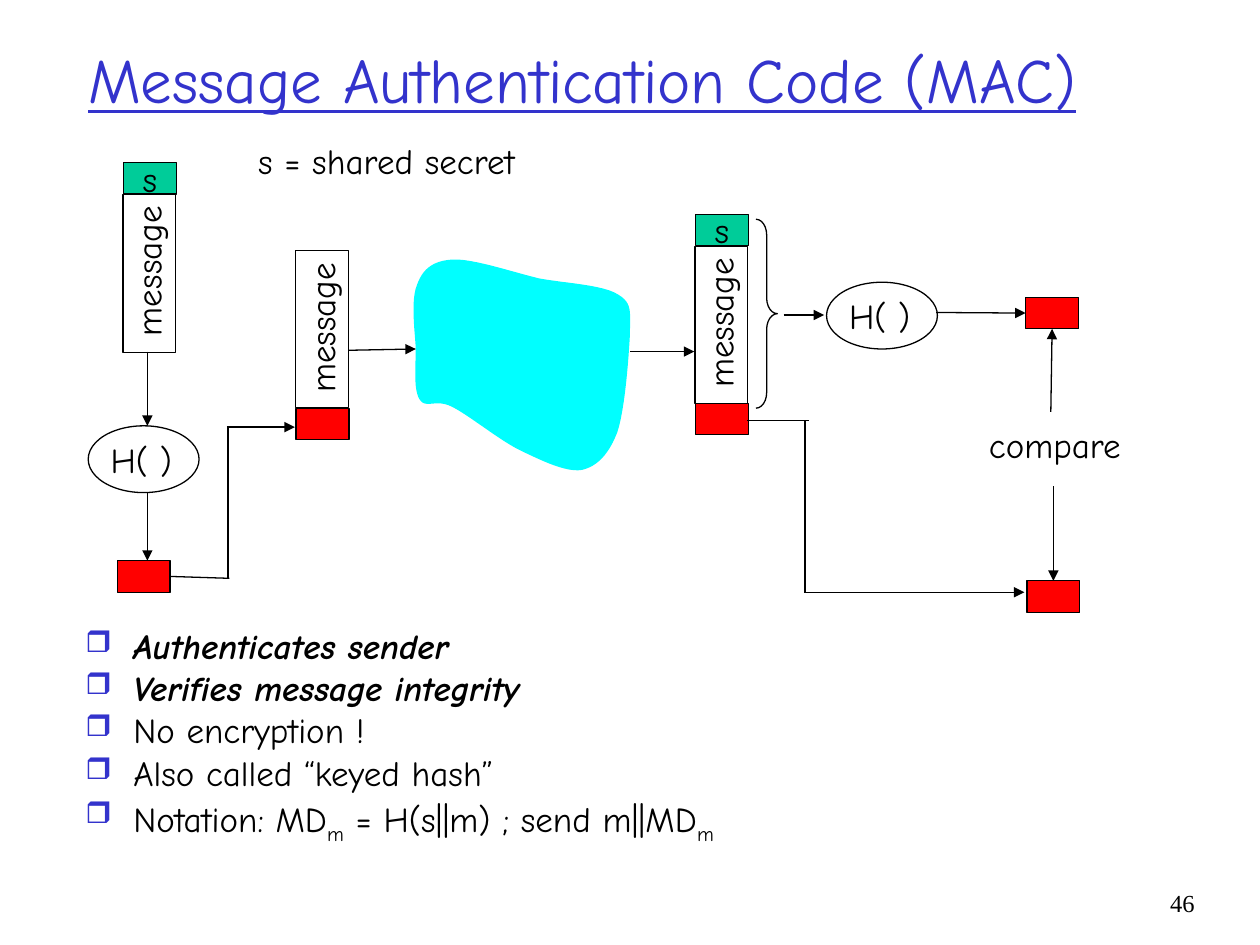
from lxml import etree
from pptx import Presentation
from pptx.dml.color import RGBColor
from pptx.enum.shapes import MSO_CONNECTOR as CONN, MSO_SHAPE as SHAPE
from pptx.enum.text import MSO_ANCHOR as ANCHOR, MSO_AUTO_SIZE as AUTO, PP_ALIGN as ALIGN
from pptx.oxml.ns import qn
from pptx.util import Inches, Pt

BLACK = RGBColor(0x00, 0x00, 0x00)
BLUE = RGBColor(0x33, 0x33, 0xCC)
GREEN = RGBColor(0x00, 0xCC, 0x99)
RED = RGBColor(0xFF, 0x00, 0x00)
CYAN = RGBColor(0x00, 0xFF, 0xFF)
FONT = "Comic Neue"

prs = Presentation()
prs.slide_width, prs.slide_height = Inches(10), Inches(7.5)
s = prs.slides.add_slide(prs.slide_layouts[6])


def add_run(p, text, size=20, color=BLACK, font=FONT):
    r = p.add_run()
    r.text = text
    r.font.size, r.font.name = Pt(size), font
    r.font.color.rgb = color
    return r


def add_box(kind, left, top, width, height, fill=None):
    sp = s.shapes.add_shape(kind, Inches(left), Inches(top), Inches(width), Inches(height))
    sp.shadow.inherit = False
    if fill is None:
        sp.fill.background()
    else:
        sp.fill.solid()
        sp.fill.fore_color.rgb = fill
    sp.line.color.rgb = BLACK
    sp.line.width = Pt(0.75)
    return sp


tb = s.shapes.add_textbox(Inches(0.6), Inches(0), Inches(8.88), Inches(1.25))
tf = tb.text_frame
tf.word_wrap = True
tf.vertical_anchor = ANCHOR.MIDDLE
add_run(tf.paragraphs[0], "Message Authentication Code (MAC)", 36, BLUE).font.underline = True

tb = s.shapes.add_textbox(Inches(9.08), Inches(7), Inches(0.5), Inches(0.5))
tb.text_frame.word_wrap = True
p = tb.text_frame.paragraphs[0]
p.alignment = ALIGN.RIGHT
add_run(p, "46", 14, font="Times New Roman")

curve = [
    (3.59, 2.06),
    (3.42, 2.07), (3.35, 2.15), (3.31, 2.26),
    (3.26, 2.38), (3.29, 2.61), (3.3, 2.76),
    (3.3, 2.91), (3.28, 3.09), (3.33, 3.17),
    (3.38, 3.25), (3.46, 3.16), (3.59, 3.23),
    (3.73, 3.3), (3.97, 3.5), (4.14, 3.58),
    (4.31, 3.66), (4.49, 3.75), (4.62, 3.73),
    (4.74, 3.7), (4.83, 3.61), (4.9, 3.43),
    (4.96, 3.25), (4.99, 2.84), (5, 2.65),
    (5, 2.47), (5.02, 2.41), (4.91, 2.34),
    (4.79, 2.26), (4.5, 2.25), (4.28, 2.21),
    (4.07, 2.16), (3.75, 2.05), (3.59, 2.06),
]
STEPS = 12
points = []
for i in range(0, len(curve) - 1, 3):
    for n in range(1, STEPS + 1):
        t = n / STEPS
        weights = ((1 - t) ** 3, 3 * t * (1 - t) ** 2, 3 * t * t * (1 - t), t ** 3)
        points.append([sum(w * pt[axis] for w, pt in zip(weights, curve[i:i + 4])) for axis in (0, 1)])
builder = s.shapes.build_freeform(Inches(curve[0][0]), Inches(curve[0][1]))
builder.add_line_segments([(Inches(x), Inches(y)) for x, y in points], close=True)
network = builder.convert_to_shape()
network.shadow.inherit = False
network.fill.solid()
network.fill.fore_color.rgb = CYAN
network.line.fill.background()

for left, top in ((0.56, 1.96), (1.93, 2.4), (5.1, 2.37)):
    add_box(SHAPE.RECTANGLE, left, top, 1.25, 0.42).rotation = 270

for left, top in ((0.98, 1.29), (5.52, 1.7)):
    secret = add_box(SHAPE.RECTANGLE, left, top, 0.42, 0.25, GREEN)
    tf = secret.text_frame
    tf.word_wrap = False
    tf.vertical_anchor = ANCHOR.MIDDLE
    p = tf.paragraphs[0]
    p.alignment = ALIGN.CENTER
    add_run(p, "s")

for left, top in ((0.7, 3.38), (6.56, 2.24)):
    add_box(SHAPE.OVAL, left, top, 0.88, 0.53)

digests = {
    name: add_box(SHAPE.RECTANGLE, left, top, 0.42, 0.25, RED)
    for name, left, top in (
        ("made", 0.93, 4.45),
        ("sent", 2.35, 3.24),
        ("received", 5.52, 3.2),
        ("computed", 8.14, 2.36),
        ("forwarded", 8.15, 4.61),
    )
}

brace = add_box(SHAPE.RIGHT_BRACE, 6, 1.74, 0.17, 1.5)
brace.adjustments[0] = 0.73

for text, left, top, width, angle in (
    ("message", 0.56, 1.93, 1.23, 270),
    ("message", 1.94, 2.38, 1.23, 270),
    ("message", 5.1, 2.34, 1.23, 270),
    ("H( )", 0.78, 3.43, 0.88, 0),
    ("H( )", 6.64, 2.29, 0.88, 0),
    ("compare", 7.75, 3.31, 1.25, 0),
    ("s = shared secret", 1.95, 1.06, 2.25, 0),
):
    tb = s.shapes.add_textbox(Inches(left), Inches(top), Inches(width), Inches(0.44))
    tb.rotation = angle
    tf = tb.text_frame
    tf.word_wrap = text == "H( )"
    tf.auto_size = AUTO.SHAPE_TO_FIT_TEXT
    add_run(tf.paragraphs[0], text)

for x1, y1, x2, y2, arrow, begin, end in (
    (1.17, 2.79, 1.17, 3.38, True, None, None),
    (1.17, 3.91, 1.17, 4.45, True, None, None),
    (1.34, 4.58, 1.82, 4.59, False, ("made", 3), None),
    (1.81, 4.59, 1.81, 3.39, False, None, None),
    (1.8, 3.39, 2.34, 3.39, True, None, None),
    (2.77, 2.78, 3.3, 2.77, True, None, None),
    (5, 2.79, 5.51, 2.79, True, None, None),
    (6.22, 2.5, 6.54, 2.5, True, None, None),
    (7.43, 2.48, 8.15, 2.48, True, None, ("computed", 1)),
    (5.93, 3.34, 6.42, 3.34, False, None, None),
    (6.39, 3.34, 6.39, 4.71, False, None, None),
    (6.39, 4.7, 8.13, 4.7, True, None, None),
    (8.34, 3.27, 8.34, 2.62, True, None, ("computed", 2)),
    (8.36, 3.86, 8.36, 4.62, True, None, ("forwarded", 0)),
):
    c = s.shapes.add_connector(CONN.STRAIGHT, Inches(x1), Inches(y1), Inches(x2), Inches(y2))
    c.line.color.rgb = BLACK
    c.line.width = Pt(0.75)
    if begin:
        c.begin_connect(digests[begin[0]], begin[1])
    if end:
        c.end_connect(digests[end[0]], end[1])
    if arrow:
        etree.SubElement(c.line._get_or_add_ln(), qn("a:tailEnd"), type="triangle")
    etree.SubElement(c._element.spPr, qn("a:effectLst"))

tb = s.shapes.add_textbox(Inches(0.58), Inches(4.97), Inches(8.5), Inches(1.87))
tf = tb.text_frame
tf.word_wrap = True
for i, (parts, strong) in enumerate((
    (["Authenticates sender"], True),
    (["Verifies message integrity"], True),
    (["No encryption !"], False),
    (["Also called “keyed hash”"], False),
    (["Notation: MD", "m", " = H(s||m) ; send m||MD", "m"], False),
)):
    p = tf.paragraphs[0] if i == 0 else tf.add_paragraph()
    p.line_spacing = 0.8
    p.space_before = Pt(5 if i else 0)
    pPr = p._p.get_or_add_pPr()
    pPr.set("marL", str(Inches(0.38)))
    pPr.set("indent", str(-Inches(0.38)))
    color = etree.SubElement(pPr, qn("a:buClr"))
    etree.SubElement(color, qn("a:srgbClr"), val=str(BLUE))
    etree.SubElement(pPr, qn("a:buSzPct"), val="85000")
    etree.SubElement(pPr, qn("a:buChar"), char="❒")
    for text in parts:
        r = add_run(p, text)
        r.font.bold = r.font.italic = strong
        if text == "m":
            r.font._element.set("baseline", "-25000")

prs.save("out.pptx")
